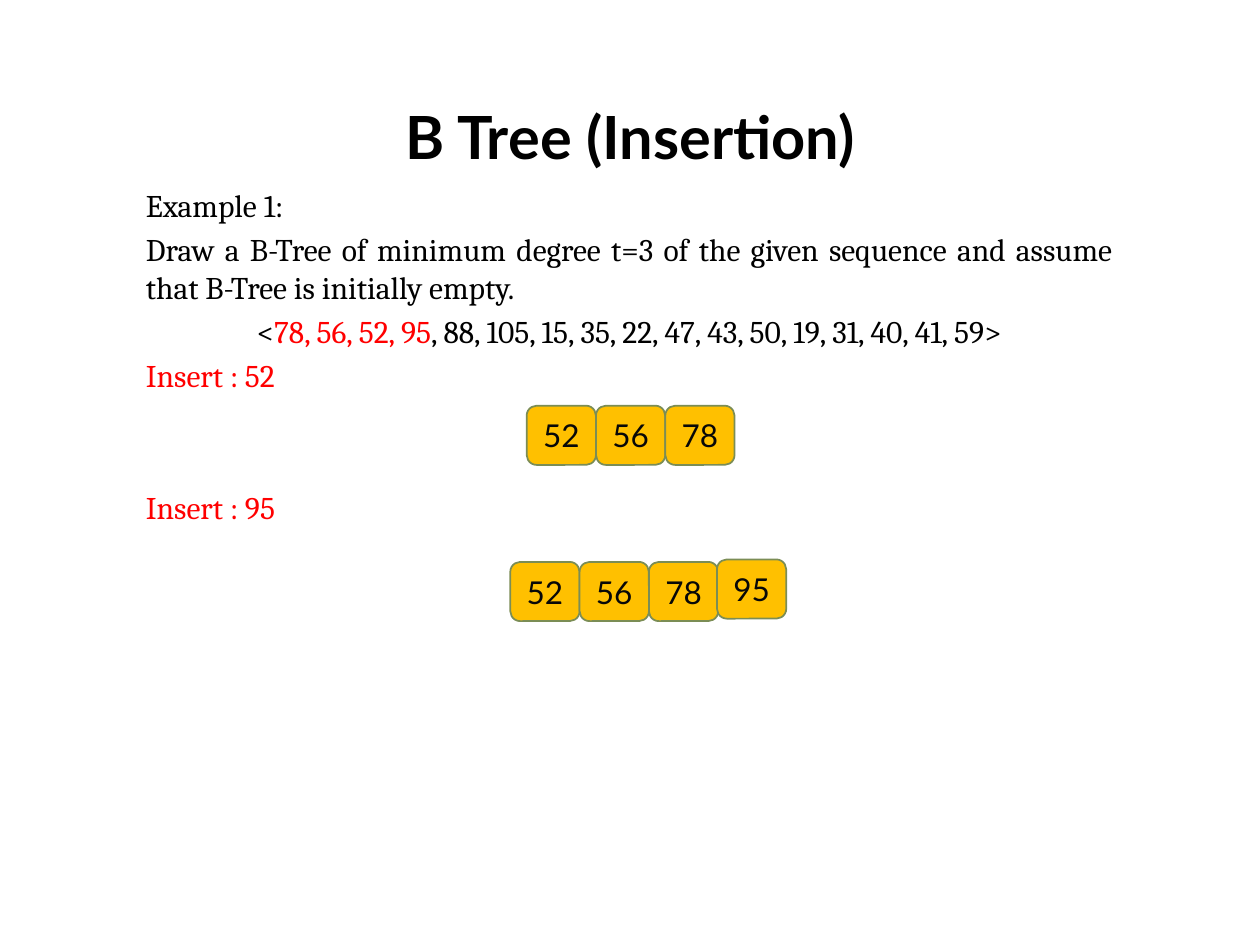
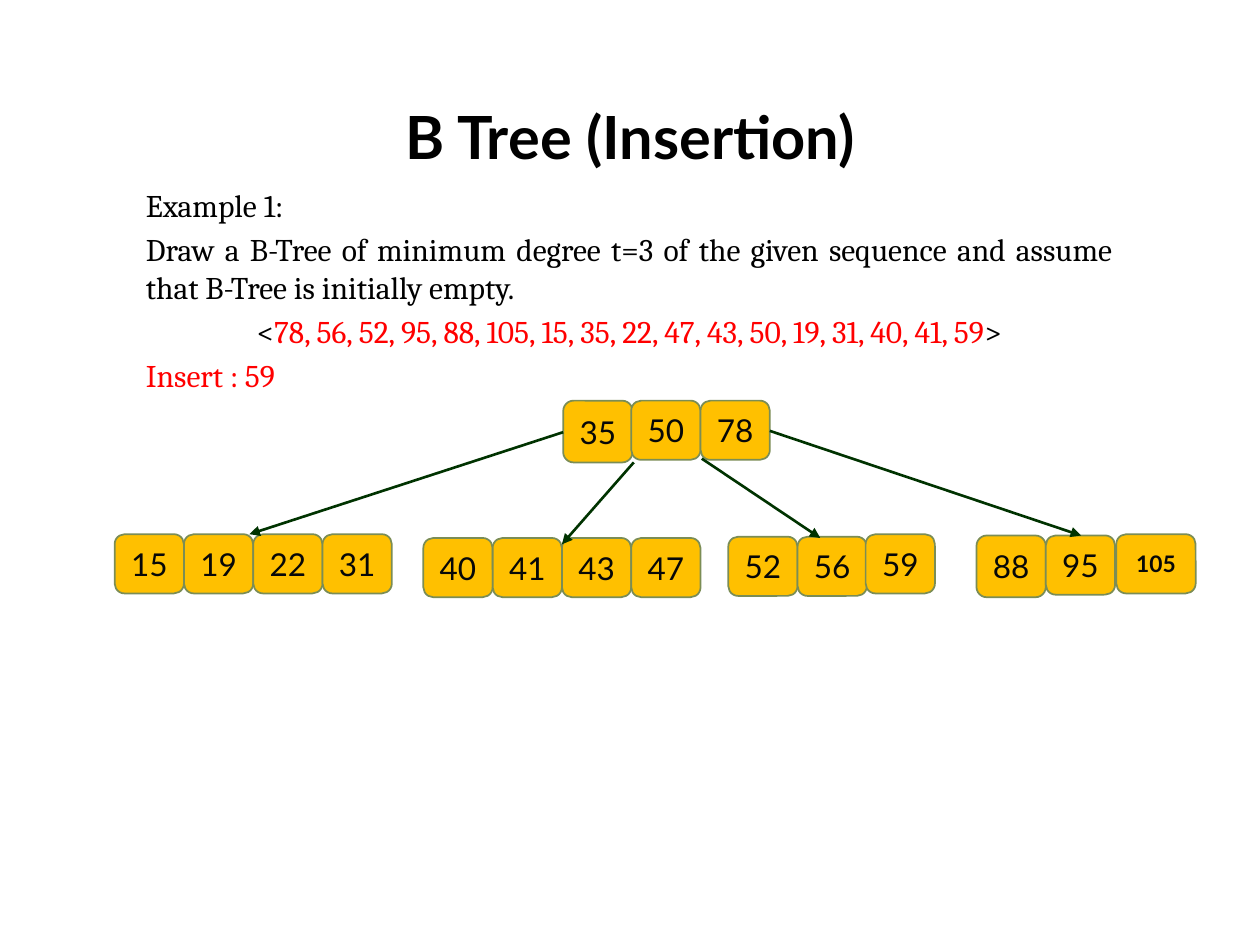
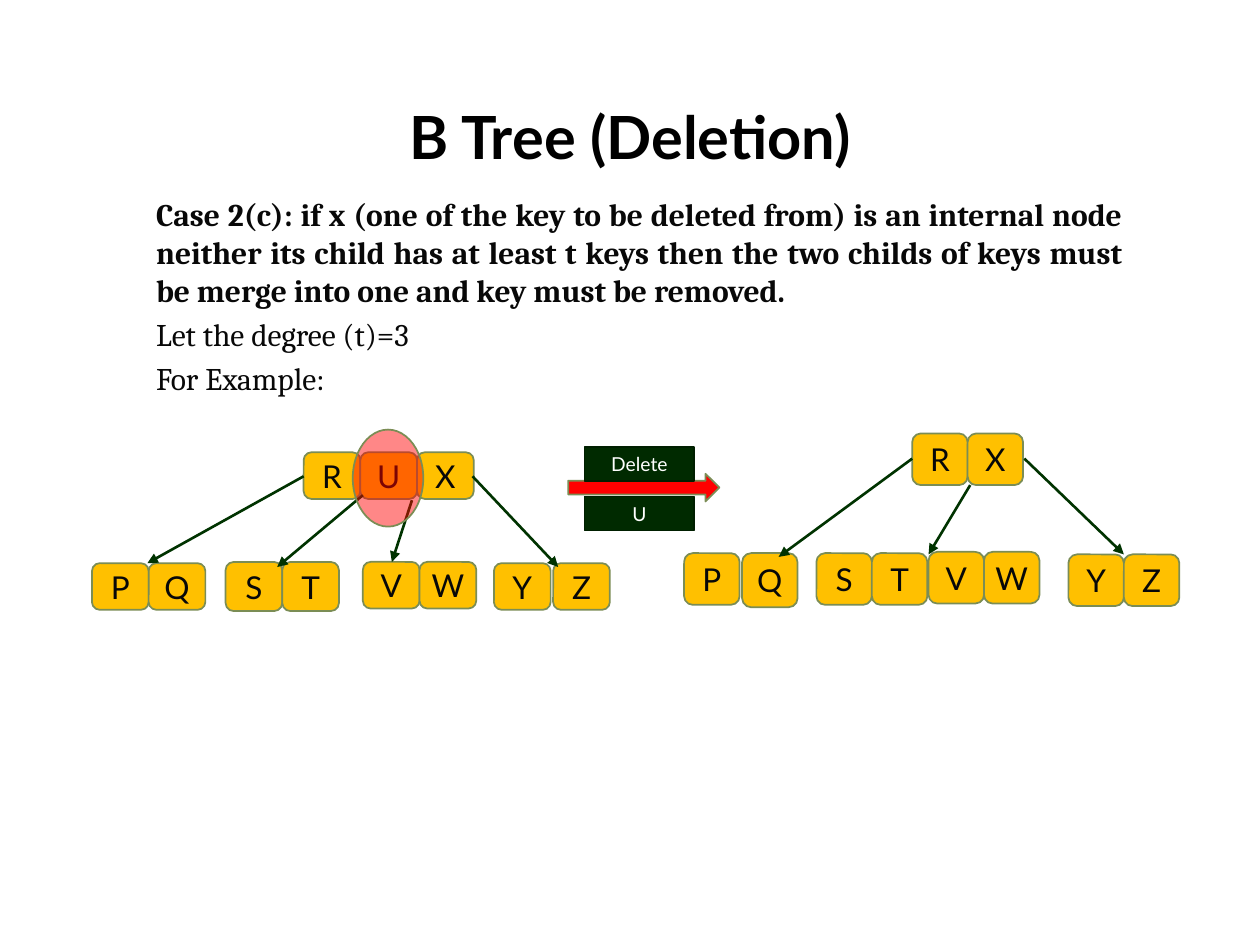
from lxml import etree
from pptx import Presentation
from pptx import util as u
from pptx.dml import color
from pptx.enum import shapes, text
from pptx.oxml import ns

BLACK, INK, RED, WHITE = "000000", "080808", "FF0000", "FFFFFF"
GOLD, OLIVE, GREEN = "FFC000", "7B8D55", "003300"
DARK, DARK_EDGE = "002A00", "001F00"
JUSTIFY, CENTER, LEFT = text.PP_ALIGN.JUSTIFY, text.PP_ALIGN.CENTER, text.PP_ALIGN.LEFT
KIND = shapes.MSO_SHAPE
GAP, TREE_GAP = 3.6, 53.7


def rgb(value):
    return color.RGBColor.from_string(value)


def add_box(page, kind, place, fill, edge, label="", size=18, ink=INK, bold=False):
    box = page.shapes.add_shape(kind, *[u.Inches(value) for value in place])
    box.shadow.inherit = False
    box.fill.solid()
    box.fill.fore_color.rgb = rgb(fill)
    box.line.color.rgb = rgb(edge)
    box.line.width = u.Pt(1)
    if label:
        frame = box.text_frame
        frame.margin_left = frame.margin_right = 0
        frame.margin_top = frame.margin_bottom = 0
        frame.vertical_anchor = text.MSO_ANCHOR.MIDDLE
        para = frame.paragraphs[0]
        para.alignment = CENTER
        span = para.add_run()
        span.text = label
        span.font.name = "Lato"
        span.font.size = u.Pt(size)
        span.font.bold = bold
        span.font.color.rgb = rgb(ink)
    return box


example = [
    (JUSTIFY, GAP, [("Example 1:", BLACK, False)]),
    (JUSTIFY, GAP, [("Draw a B-Tree of minimum degree t=3 of the given sequence and assume "
                     "that B-Tree is initially empty.", BLACK, False)]),
]

# Each node: left, top, key width, key height, keys
pages = [
    {
        "title": "B Tree (Insertion)",
        "body": (1.06, 1.43, 7.87, 5.07),
        "paras": example + [
            (CENTER, GAP, [("<", BLACK, False), ("78, 56, 52, 95", RED, False),
                           (", 88, 105, 15, 35, 22, 47, 43, 50, 19, 31, 40, 41, 59>", BLACK, False)]),
            (LEFT, GAP, [("Insert : 52", RED, False)]),
            (LEFT, TREE_GAP, [("Insert : 95", RED, False)]),
        ],
        "nodes": [
            (4.18, 3.22, 0.55, 0.47, ["52", "56", "78"]),
            (4.05, 4.46, 0.55, 0.47, ["52", "56", "78"]),
            (5.69, 4.44, 0.55, 0.47, ["95"]),
        ],
        "arrows": [],
    },
    {
        "title": "B Tree (Insertion)",
        "body": (1.06, 1.43, 7.87, 5.07),
        "paras": example + [
            (CENTER, GAP, [("<", BLACK, False),
                           ("78, 56, 52, 95, 88, 105, 15, 35, 22, 47, 43, 50, 19, 31, 40, 41, 59", RED, False),
                           (">", BLACK, False)]),
            (LEFT, GAP, [("Insert : 59", RED, False)]),
        ],
        "nodes": [
            (4.47, 3.18, 0.55, 0.49, ["35"]),
            (5.01, 3.18, 0.55, 0.47, ["50", "78"]),
            (0.91, 4.24, 0.55, 0.47, ["15", "19", "22", "31"]),
            (3.36, 4.27, 0.55, 0.47, ["40", "41", "43", "47"]),
            (5.78, 4.26, 0.55, 0.47, ["52", "56"]),
            (6.87, 4.24, 0.55, 0.47, ["59"]),
            (7.75, 4.25, 0.55, 0.49, ["88"]),
            (8.3, 4.25, 0.55, 0.47, ["95"]),
            (8.86, 4.24, 0.63, 0.47, ["105"]),
        ],
        "arrows": [
            (4.47, 3.43, 1.98, 4.24), (5.03, 3.67, 4.46, 4.32),
            (5.57, 3.64, 6.51, 4.27), (6.11, 3.42, 8.58, 4.25),
        ],
    },
    {
        "title": "B Tree (Deletion)",
        "body": (1.14, 1.5, 7.87, 4.74),
        "paras": [
            (JUSTIFY, GAP, [("Case 2(c): if x (one of the key to be deleted from) is an internal node "
                             "neither its child has at least t keys then the two childs of keys must "
                             "be merge into one and key must be removed.", INK, True)]),
            (JUSTIFY, GAP, [("Let the degree (t)=3", INK, False)]),
            (JUSTIFY, GAP, [("For Example:", INK, False)]),
        ],
        "nodes": [
            (2.41, 3.59, 0.45, 0.37, ["R", "U", "X"]),
            (0.73, 4.47, 0.45, 0.37, ["P", "Q"]),
            (1.79, 4.46, 0.45, 0.39, ["S", "T"]),
            (2.88, 4.46, 0.45, 0.37, ["V", "W"]),
            (3.92, 4.47, 0.45, 0.37, ["Y"]),
            (4.39, 4.47, 0.45, 0.37, ["Z"]),
            (7.24, 3.44, 0.44, 0.41, ["R", "X"]),
            (5.43, 4.39, 0.44, 0.41, ["P"]),
            (5.89, 4.39, 0.44, 0.43, ["Q"]),
            (6.48, 4.39, 0.44, 0.41, ["S", "T"]),
            (7.37, 4.38, 0.44, 0.41, ["V", "W"]),
            (8.48, 4.4, 0.44, 0.41, ["Y", "Z"]),
        ],
        "arrows": [
            (2.41, 3.78, 1.17, 4.47), (2.88, 3.93, 2.2, 4.5),
            (3.27, 3.97, 3.11, 4.46), (3.75, 3.78, 4.43, 4.5),
            (7.24, 3.64, 6.18, 4.42), (7.7, 3.85, 7.37, 4.4), (8.13, 3.64, 8.92, 4.4),
        ],
    },
]

deck = Presentation()
deck.slide_width, deck.slide_height = u.Inches(10), u.Inches(7.5)

for content in pages:
    page = deck.slides.add_slide(deck.slide_layouts[5])
    title = page.shapes.title
    title.left, title.top = u.Inches(0.5), u.Inches(0.68)
    title.width, title.height = u.Inches(9), u.Inches(0.79)
    title.text_frame.vertical_anchor = text.MSO_ANCHOR.MIDDLE
    para = title.text_frame.paragraphs[0]
    para.alignment = CENTER
    span = para.add_run()
    span.text = content["title"]
    span.font.name = "Lato"
    span.font.size = u.Pt(34)
    span.font.bold = True
    span.font.color.rgb = rgb(BLACK)

    body = page.shapes.add_textbox(*[u.Inches(value) for value in content["body"]])
    frame = body.text_frame
    frame.word_wrap = True
    for index, (alignment, gap, spans) in enumerate(content["paras"]):
        para = frame.add_paragraph() if index else frame.paragraphs[0]
        para.alignment = alignment
        para.space_before = u.Pt(gap)
        for words, ink, bold in spans:
            span = para.add_run()
            span.text = words
            span.font.name = "Cambria"
            span.font.size = u.Pt(18)
            span.font.bold = bold
            span.font.color.rgb = rgb(ink)

    for left, top, width, height, keys in content["nodes"]:
        for index, key in enumerate(keys):
            is_long = len(key) > 2
            add_box(page, KIND.ROUNDED_RECTANGLE, (left + index * width, top, width, height),
                    GOLD, OLIVE, key, size=13 if is_long else 18, bold=is_long)

    for ends in content["arrows"]:
        arrow = page.shapes.add_connector(shapes.MSO_CONNECTOR.STRAIGHT,
                                          *[u.Inches(value) for value in ends])
        arrow.line.color.rgb = rgb(GREEN)
        arrow.line.width = u.Pt(1.5)
        etree.SubElement(arrow.line._get_or_add_ln(), ns.qn("a:tailEnd"), type="triangle")
        etree.SubElement(arrow._element.spPr, ns.qn("a:effectLst"))

add_box(page, KIND.RIGHT_ARROW, (4.51, 3.76, 1.2, 0.22), RED, OLIVE)
for label, top in [("Delete", 3.55), ("U", 3.94)]:
    add_box(page, KIND.RECTANGLE, (4.64, top, 0.87, 0.27), DARK, DARK_EDGE, label, size=11, ink=WHITE)

highlight = add_box(page, KIND.OVAL, (2.8, 3.41, 0.56, 0.77), RED, OLIVE)
fill_color = highlight._element.spPr.find(ns.qn("a:solidFill"))[0]
etree.SubElement(fill_color, ns.qn("a:alpha"), val="47000")

deck.save("out.pptx")
